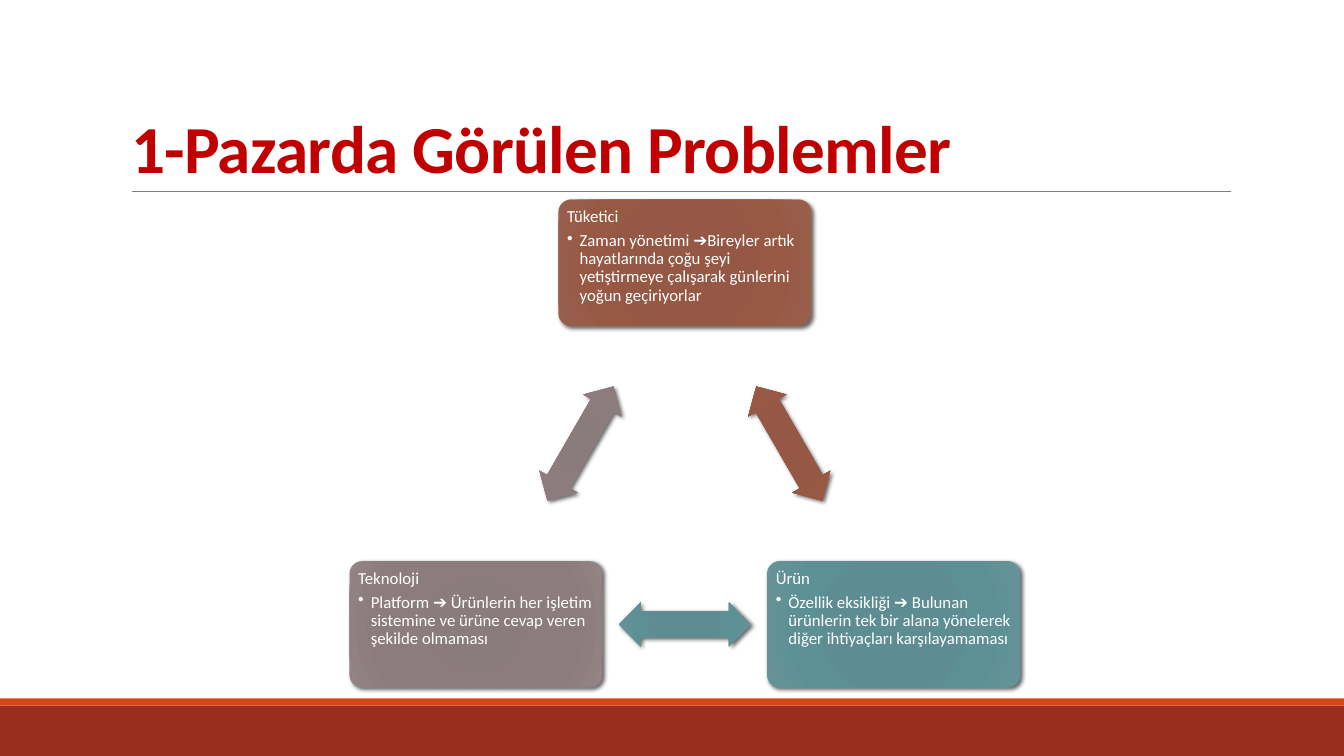
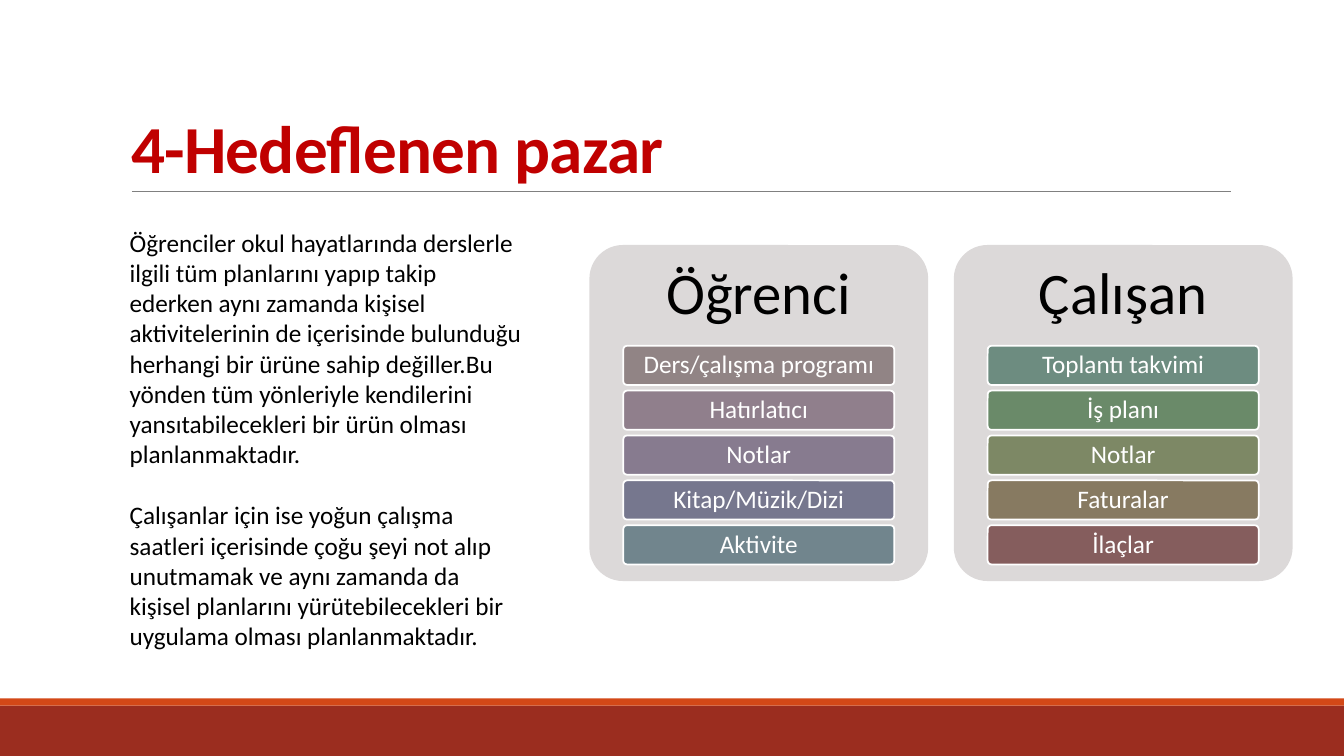
import math

import pptx
import pptx.dml.color
import pptx.enum.dml
import pptx.enum.shapes
import pptx.enum.text
import pptx.oxml
import pptx.oxml.ns
import pptx.util

Pt = pptx.util.Pt
RGBColor = pptx.dml.color.RGBColor
SHAPE = pptx.enum.shapes.MSO_SHAPE
ALIGN = pptx.enum.text.PP_ALIGN
ANCHOR = pptx.enum.text.MSO_ANCHOR
qn = pptx.oxml.ns.qn

FONT = "Calibri"
WHITE = RGBColor(0xFF, 0xFF, 0xFF)
BLACK = RGBColor(0, 0, 0)
TITLE_RED = RGBColor(0xC0, 0, 0)
BAND_RED = RGBColor(0x9B, 0x2D, 0x1F)
BAND_ORANGE = RGBColor(0xD3, 0x48, 0x17)
RULE_GRAY = RGBColor(0x80, 0x80, 0x80)
PANEL_GRAY = RGBColor(0xDC, 0xD9, 0xD9)

GRADIENT_STOPS = (0, 34, 70, 100)
BROWN = [RGBColor.from_string(c) for c in ("945742", "945844", "985944", "98604E")]
TEAL = [RGBColor.from_string(c) for c in ("5B8C91", "5D8D92", "5D9095", "669397")]
MAUVE = [RGBColor.from_string(c) for c in ("89797A", "8A7B7C", "8C7C7D", "928384")]

SLIDE_WIDTH, SLIDE_HEIGHT = 960, 540
CYCLE_X, CYCLE_Y, CYCLE_RADIUS = 489.2, 359.9, 172.2
PANEL_LEFT, PANEL_TOP, PANEL_WIDTH, PANEL_HEIGHT = 421, 175, 242, 240
PANEL_STEP, HEADING_HEIGHT = 260.3, 72
ITEM_STEP, ITEM_HEIGHT = 32.05, 28

PROBLEMS = [
    ("Tüketici", "Zaman yönetimi ➔Bireyler artık hayatlarında çoğu şeyi "
     "yetiştirmeye çalışarak günlerini yoğun geçiriyorlar", BROWN),
    ("Ürün", "Özellik eksikliği ➔ Bulunan ürünlerin tek bir alana yönelerek "
     "diğer ihtiyaçları karşılayamaması", TEAL),
    ("Teknoloji", "Platform ➔ Ürünlerin her işletim sistemine ve ürüne cevap "
     "veren şekilde olmaması", MAUVE),
]
AUDIENCES = [
    ("Öğrenci", [
        ("Ders/çalışma programı", RGBColor(0x91, 0x84, 0x85)),
        ("Hatırlatıcı", RGBColor(0x90, 0x7F, 0x8C)),
        ("Notlar", RGBColor(0x87, 0x7B, 0x8F)),
        ("Kitap/Müzik/Dizi", RGBColor(0x76, 0x77, 0x8E)),
        ("Aktivite", RGBColor(0x71, 0x85, 0x8D)),
    ]),
    ("Çalışan", [
        ("Toplantı takvimi", RGBColor(0x6D, 0x8C, 0x80)),
        ("İş planı", RGBColor(0x6A, 0x8A, 0x69)),
        ("Notlar", RGBColor(0x7D, 0x88, 0x65)),
        ("Faturalar", RGBColor(0x87, 0x7A, 0x61)),
        ("İlaçlar", RGBColor(0x85, 0x5D, 0x5D)),
    ]),
]
MARKET_TEXT = [
    "Öğrenciler okul hayatlarında derslerle ilgili tüm planlarını yapıp takip "
    "ederken aynı zamanda kişisel aktivitelerinin de içerisinde bulunduğu "
    "herhangi bir ürüne sahip değiller.Bu yönden tüm yönleriyle kendilerini "
    "yansıtabilecekleri bir ürün olması planlanmaktadır.",
    "Çalışanlar için ise yoğun çalışma saatleri içerisinde çoğu şeyi not alıp "
    "unutmamak ve aynı zamanda da kişisel planlarını yürütebilecekleri bir "
    "uygulama olması planlanmaktadır.",
]


def set_values(target, values):
    """Set each named attribute of the target."""
    for name, value in values.items():
        setattr(target, name, value)


def set_frame(frame, insets, anchor):
    """Set insets (left, top, right, bottom), wrapping and anchor."""
    left, top, right, bottom = map(Pt, insets)
    set_values(frame, {
        "margin_left": left, "margin_top": top, "margin_right": right,
        "margin_bottom": bottom, "word_wrap": True, "vertical_anchor": anchor,
        "auto_size": pptx.enum.text.MSO_AUTO_SIZE.NONE,
    })


def write_para(para, text, size, color, bold=False, **layout):
    """Write one formatted run and set the paragraph layout."""
    set_values(para, {"alignment": ALIGN.LEFT, **layout})
    span = para.add_run()
    span.text = text
    set_values(span.font, {"name": FONT, "size": Pt(size), "bold": bold})
    span.font.color.rgb = color


def add_box(page, kind, left, top, width, height, fill=None, line=None):
    """Add a preset shape without shadow, optionally filled and outlined."""
    box = page.shapes.add_shape(kind, Pt(left), Pt(top), Pt(width), Pt(height))
    box.shadow.inherit = False
    if fill is not None:
        box.fill.solid()
        box.fill.fore_color.rgb = fill
    if line is None:
        box.line.fill.background()
    else:
        box.line.color.rgb = line
        box.line.width = Pt(1.25)
    return box


def add_rounded(page, left, top, width, height, fill=None, line=None):
    """Add a rounded box with the corner size shared by all boxes."""
    box = add_box(page, SHAPE.ROUNDED_RECTANGLE, left, top, width, height, fill, line)
    box.adjustments[0] = 0.1
    return box


def add_depth(shape, colors):
    """Give a shape a radial gradient and a soft shadow."""
    stops = "".join(
        f'<a:gs pos="{position * 1000}"><a:srgbClr val="{color}"/></a:gs>'
        for position, color in zip(GRADIENT_STOPS, colors))
    namespace = pptx.oxml.ns.nsdecls("a")
    gradient = pptx.oxml.parse_xml(
        f'<a:gradFill {namespace} rotWithShape="1"><a:gsLst>{stops}</a:gsLst>'
        '<a:path path="circle"><a:fillToRect l="100000" t="100000" r="100000" '
        'b="100000"/></a:path></a:gradFill>')
    shadow = pptx.oxml.parse_xml(
        f'<a:outerShdw {namespace} blurRad="{Pt(3)}" dist="{Pt(2)}" dir="2700000" '
        'algn="tl" rotWithShape="0"><a:srgbClr val="000000">'
        '<a:alpha val="60000"/></a:srgbClr></a:outerShdw>')
    properties = shape.element.spPr
    properties.find(qn("a:prstGeom")).addnext(gradient)
    properties.find(qn("a:effectLst")).append(shadow)


def add_bullet(para, indent):
    """Give a paragraph a hanging round bullet."""
    properties = para._p.get_or_add_pPr()
    properties.set("marL", str(Pt(indent)))
    properties.set("indent", str(-Pt(indent)))
    properties.append(pptx.oxml.parse_xml(
        f'<a:buChar {pptx.oxml.ns.nsdecls("a")} char="•"/>'))


def add_rule(page, left, right, height):
    """Add the thin line under the title."""
    rule = page.shapes.add_connector(
        pptx.enum.shapes.MSO_CONNECTOR.STRAIGHT,
        Pt(left), Pt(height), Pt(right), Pt(height))
    rule.line.color.rgb = RULE_GRAY
    rule.line.width = Pt(0.5)
    rule.element.spPr.append(pptx.oxml.parse_xml(
        f'<a:effectLst {pptx.oxml.ns.nsdecls("a")}/>'))
    return rule


def set_layout_frame(page):
    """Draw the bands and rule, then hand them to the shared layout."""
    frame = [
        add_box(page, SHAPE.RECTANGLE, 0, 504, SLIDE_WIDTH, 36, BAND_RED),
        add_box(page, SHAPE.RECTANGLE, 0, 498.8, SLIDE_WIDTH, 5.2, BAND_ORANGE),
        add_rule(page, 94.2, 879.1, 136.8),
    ]
    tree = page.slide_layout.shapes.element
    for number, shape in enumerate(frame):
        shape.element.xpath("./*/p:cNvPr")[0].set("id", str(100 + number))
        tree.insert(2 + number, shape.element)


def add_page(deck, title):
    """Add a slide with its formatted title."""
    page = deck.slides.add_slide(deck.slide_layouts[5])
    box = page.shapes.title
    set_values(box, {"left": Pt(86.4), "top": Pt(22.5),
                     "width": Pt(792), "height": Pt(114.5)})
    set_frame(box.text_frame, (7.2, 3.6, 7.2, 3.6), ANCHOR.BOTTOM)
    write_para(box.text_frame.paragraphs[0], title, 48, TITLE_RED, True,
               line_spacing=0.85)
    for properties in box.element.iter(qn("a:rPr")):
        properties.set("spc", "-50")
    return page


def cycle_point(degrees, radius):
    """Return the point at an angle and radius of the problem cycle."""
    angle = math.radians(degrees)
    return CYCLE_X + radius * math.cos(angle), CYCLE_Y + radius * math.sin(angle)


def add_problem(page, degrees, heading, detail, colors):
    """Add a problem box and the arrow that leads to the next box."""
    width, height = 180.8, 90.3
    x, y = cycle_point(degrees, CYCLE_RADIUS)
    box = add_rounded(page, x - width / 2, y - height / 2, width, height)
    add_depth(box, colors)
    frame = box.text_frame
    set_frame(frame, (3.6, 3.6, 3.6, 3.6), ANCHOR.TOP)
    write_para(frame.paragraphs[0], heading, 12, WHITE,
               line_spacing=0.9, space_after=Pt(4.2))
    para = frame.add_paragraph()
    write_para(para, detail, 12, WHITE, line_spacing=0.9, space_after=Pt(1.8))
    add_bullet(para, 9)

    width, height = 94.3, 31.6
    x, y = cycle_point(degrees + 60, CYCLE_RADIUS / 2)
    arrow = add_box(page, SHAPE.LEFT_RIGHT_ARROW,
                    x - width / 2, y - height / 2, width, height)
    arrow.adjustments[0] = 0.6
    arrow.adjustments[1] = 0.5
    arrow.rotation = (degrees + 150) % 360
    add_depth(arrow, colors)


def add_audience(page, left, heading, items):
    """Add a panel with a heading and a stack of labelled items."""
    panel = add_rounded(page, left, PANEL_TOP, PANEL_WIDTH, PANEL_HEIGHT, PANEL_GRAY)
    set_frame(panel.text_frame, (5, 0, 5, PANEL_HEIGHT - HEADING_HEIGHT), ANCHOR.MIDDLE)
    write_para(panel.text_frame.paragraphs[0], heading, 42, BLACK,
               alignment=ALIGN.CENTER, line_spacing=0.9)
    for row, (label, color) in enumerate(items):
        top = PANEL_TOP + HEADING_HEIGHT + row * ITEM_STEP
        item = add_rounded(page, left + PANEL_WIDTH * 0.1, top,
                           PANEL_WIDTH * 0.8, ITEM_HEIGHT, color, WHITE)
        set_frame(item.text_frame, (3.6, 2.8, 3.6, 2.8), ANCHOR.MIDDLE)
        write_para(item.text_frame.paragraphs[0], label, 18, WHITE,
                   alignment=ALIGN.CENTER, line_spacing=0.9)


def add_text(page, left, top, width, height, texts):
    """Add a text box with paragraphs one line apart."""
    box = page.shapes.add_textbox(Pt(left), Pt(top), Pt(width), Pt(height))
    frame = box.text_frame
    set_frame(frame, (7.2, 3.6, 7.2, 3.6), ANCHOR.TOP)
    for number, text in enumerate(texts):
        para = frame.add_paragraph() if number else frame.paragraphs[0]
        write_para(para, text, 18, BLACK, space_before=Pt(22 if number else 0))


def main():
    """Build and save the deck."""
    deck = pptx.Presentation()
    deck.slide_width, deck.slide_height = Pt(SLIDE_WIDTH), Pt(SLIDE_HEIGHT)

    page = add_page(deck, "1-Pazarda Görülen Problemler")
    set_layout_frame(page)
    for number, (heading, detail, colors) in enumerate(PROBLEMS):
        add_problem(page, -90 + 120 * number, heading, detail, colors)

    page = add_page(deck, "4-Hedeflenen pazar")
    for number, (heading, items) in enumerate(AUDIENCES):
        add_audience(page, PANEL_LEFT + number * PANEL_STEP, heading, items)
    add_text(page, 85.5, 158.6, 296.6, 312.5, MARKET_TEXT)

    deck.save("out.pptx")


main()
